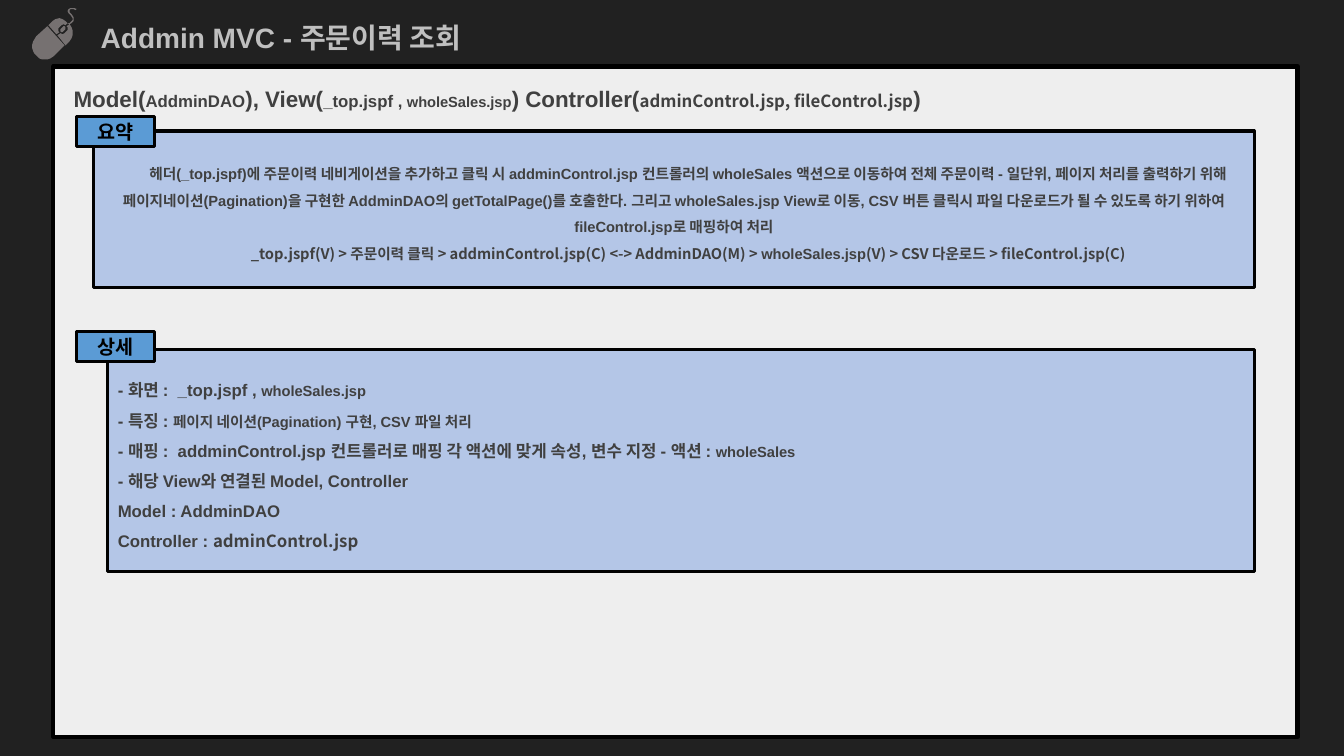
import dataclasses
import typing

import lxml.etree
import pptx
import pptx.dml.color
import pptx.enum.shapes
import pptx.enum.text
import pptx.oxml.ns
import pptx.util

Inches = pptx.util.Inches
RGBColor = pptx.dml.color.RGBColor
Align = pptx.enum.text.PP_ALIGN
Anchor = pptx.enum.text.MSO_ANCHOR

BACKDROP = RGBColor(0x21, 0x21, 0x21)
PANEL = RGBColor(0xEE, 0xEE, 0xEE)
SECTION = RGBColor(0xB4, 0xC6, 0xE7)
TAB = RGBColor(0x5B, 0x9B, 0xD5)
MOUSE = RGBColor(0x76, 0x71, 0x71)
TITLE = RGBColor(0xBF, 0xBF, 0xBF)
BODY = RGBColor(0x40, 0x40, 0x40)
BLACK = RGBColor(0, 0, 0)

LATIN = "Arial"
KOREAN = "Noto Sans CJK KR"

MOUSE_OUTLINES = [
    [(64, 26), (65, 27), (65, 29), (62, 32), (61, 32), (60, 31), (60, 29), (63, 26)],
    [(47, 26), (64, 45), (53, 56), (50, 58), (47, 59), (42, 59), (39, 58), (37, 56),
     (34, 53), (33, 51), (32, 48), (32, 44), (33, 41), (36, 36)],
    [(69, 24), (71, 27), (72, 30), (72, 35), (71, 38), (69, 41), (65, 45), (57, 35),
     (60, 33), (62, 34), (64, 33), (67, 30), (67, 27), (66, 26)],
    [(59, 18), (62, 19), (65, 21), (67, 23), (65, 25), (63, 24), (61, 25), (58, 28),
     (58, 31), (59, 32), (56, 34), (48, 25), (52, 21), (55, 19)],
    [(71, 8), (74, 8), (76, 9), (75, 10), (73, 9), (70, 9), (69, 10), (69, 12),
     (71, 14), (73, 17), (73, 21), (71, 23), (69, 24), (67, 23), (69, 23), (71, 21),
     (72, 20), (72, 18), (70, 15), (68, 13), (67, 11), (68, 9), (70, 8)],
]


@dataclasses.dataclass
class Span:
    text: str
    size: float
    font: str = LATIN
    color: RGBColor = BODY


@dataclasses.dataclass
class Para:
    spans: list[Span]
    spacing: float = 1.5
    align: Align = Align.LEFT
    indent: float = 0


@dataclasses.dataclass
class Box:
    left: float
    top: float
    width: float
    height: float
    paras: list[Para]
    fill: RGBColor
    border: float = 2.25
    anchor: Anchor = Anchor.MIDDLE
    inset: float = 0.1


def set_values(target: typing.Any, values: dict[str, typing.Any]) -> None:
    for name, value in values.items():
        setattr(target, name, value)


def write_paras(frame: typing.Any, paras: list[Para]) -> None:
    for index, para in enumerate(paras):
        paragraph = frame.add_paragraph() if index else frame.paragraphs[0]
        set_values(paragraph, {"alignment": para.align, "line_spacing": para.spacing})
        if para.indent:
            paragraph._p.get_or_add_pPr().set("indent", str(Inches(para.indent)))
        for span in para.spans:
            run = paragraph.add_run()
            run.text = span.text
            run.font.color.rgb = span.color
            set_values(run.font, {
                "name": span.font, "size": pptx.util.Pt(span.size), "bold": True,
            })
            east_asian = lxml.etree.SubElement(
                run.font._element, pptx.oxml.ns.qn("a:ea"))
            east_asian.set("typeface", KOREAN)


def paint(shape: typing.Any, color: RGBColor) -> None:
    shape.shadow.inherit = False
    shape.fill.solid()
    shape.fill.fore_color.rgb = color


def draw_box(page: typing.Any, box: Box) -> None:
    shape = page.shapes.add_shape(
        pptx.enum.shapes.MSO_SHAPE.RECTANGLE,
        Inches(box.left), Inches(box.top), Inches(box.width), Inches(box.height))
    paint(shape, box.fill)
    shape.line.color.rgb = BLACK
    shape.line.width = pptx.util.Pt(box.border)
    set_values(shape.text_frame, {
        "word_wrap": True, "vertical_anchor": box.anchor,
        "margin_left": Inches(box.inset),
    })
    write_paras(shape.text_frame, box.paras)


def draw_title(page: typing.Any) -> None:
    title = page.shapes.add_textbox(
        Inches(0.9), Inches(0.11), Inches(8.38), Inches(0.48))
    set_values(title.text_frame, {
        "word_wrap": True,
        "auto_size": pptx.enum.text.MSO_AUTO_SIZE.SHAPE_TO_FIT_TEXT,
    })
    write_paras(title.text_frame, [
        Para([Span("Addmin MVC - 주문이력 조회", 20, color=TITLE)], 1.14)])


def draw_mouse(page: typing.Any) -> None:
    first, *others = MOUSE_OUTLINES
    builder = page.shapes.build_freeform(*first[0], scale=Inches(0.01))
    builder.add_line_segments(first[1:])
    for outline in others:
        builder.move_to(*outline[0])
        builder.add_line_segments(outline[1:])
    mouse = builder.convert_to_shape()
    paint(mouse, MOUSE)
    mouse.line.fill.background()


def tab(label: str, top: float, height: float) -> Box:
    heading = Para([Span(label, 14, KOREAN, BLACK)], 1, Align.CENTER)
    return Box(0.76, top, 0.77, height, [heading], TAB)


PANEL_BOX = Box(0.53, 0.66, 12.34, 6.65, [Para([
    Span("Model(", 16), Span("AddminDAO", 12), Span("), View(", 16),
    Span("_top.jspf ,", 12), Span(" ", 11), Span("wholeSales.jsp", 10.5),
    Span(") Controller(", 16),
    Span("adminControl.jsp, fileControl.jsp", 12, KOREAN), Span(")", 16),
])], PANEL, 3, Anchor.TOP, 0.2)

SUMMARY = [
    [Span("헤더(_top.jspf)에 주문이력 네비게이션을 추가하고 클릭 시 addminControl.jsp 컨트롤러의 "
          "wholeSales 액션으로 이동하여 전체 주문이력 - 일단위, 페이지 처리를 출력하기 위해 "
          "페이지네이션(Pagination)을 구현한 AddminDAO의 getTotalPage()를 호출한다. 그리고 "
          "wholeSales.jsp View로 이동, CSV 버튼 클릭시 파일 다운로드가 될 수 있도록 하기 위하여 "
          "fileControl.jsp로 매핑하여 처리", 10.5)],
    [Span("_top.jspf(V) > 주문이력 클릭 > addminControl.jsp(C) <-> AddminDAO(M) > ", 10.5, KOREAN),
     Span("wholeSales.jsp", 10.5),
     Span("(V) > CSV 다운로드 > fileControl.jsp(C)", 10.5, KOREAN)],
]

DETAILS = [
    [Span("- 화면 :  _top.jspf ,", 12), Span(" ", 11), Span("wholeSales.jsp", 10.5)],
    [Span("- 특징 : ", 12), Span("페이지 네이션(Pagination) 구현, CSV 파일 처리", 10.5)],
    [Span("- 매핑 :  addminControl.jsp 컨트롤러로 매핑 각 액션에 맞게 속성, 변수 지정 - 액션 : ", 12),
     Span("wholeSales", 10.5)],
    [Span("- 해당 View와 연결된 Model, Controller", 12)],
    [Span("Model : AddminDAO", 12)],
    [Span("Controller : ", 12), Span("adminControl.jsp", 12, KOREAN)],
]

SECTION_BOXES = [
    Box(0.93, 1.3, 11.51, 1.55,
        [Para(spans, align=Align.CENTER, indent=0.28) for spans in SUMMARY], SECTION),
    tab("요약", 1.16, 0.29),
    Box(1.07, 3.47, 11.37, 2.2, [Para(spans) for spans in DETAILS], SECTION),
    tab("상세", 3.29, 0.3),
]


def main() -> None:
    deck = pptx.Presentation()
    set_values(deck, {"slide_width": Inches(13.33), "slide_height": Inches(7.5)})
    page = deck.slides.add_slide(deck.slide_layouts[6])
    page.background.fill.solid()
    page.background.fill.fore_color.rgb = BACKDROP
    draw_box(page, PANEL_BOX)
    draw_title(page)
    draw_mouse(page)
    for box in SECTION_BOXES:
        draw_box(page, box)
    deck.save("out.pptx")


if __name__ == "__main__":
    main()
